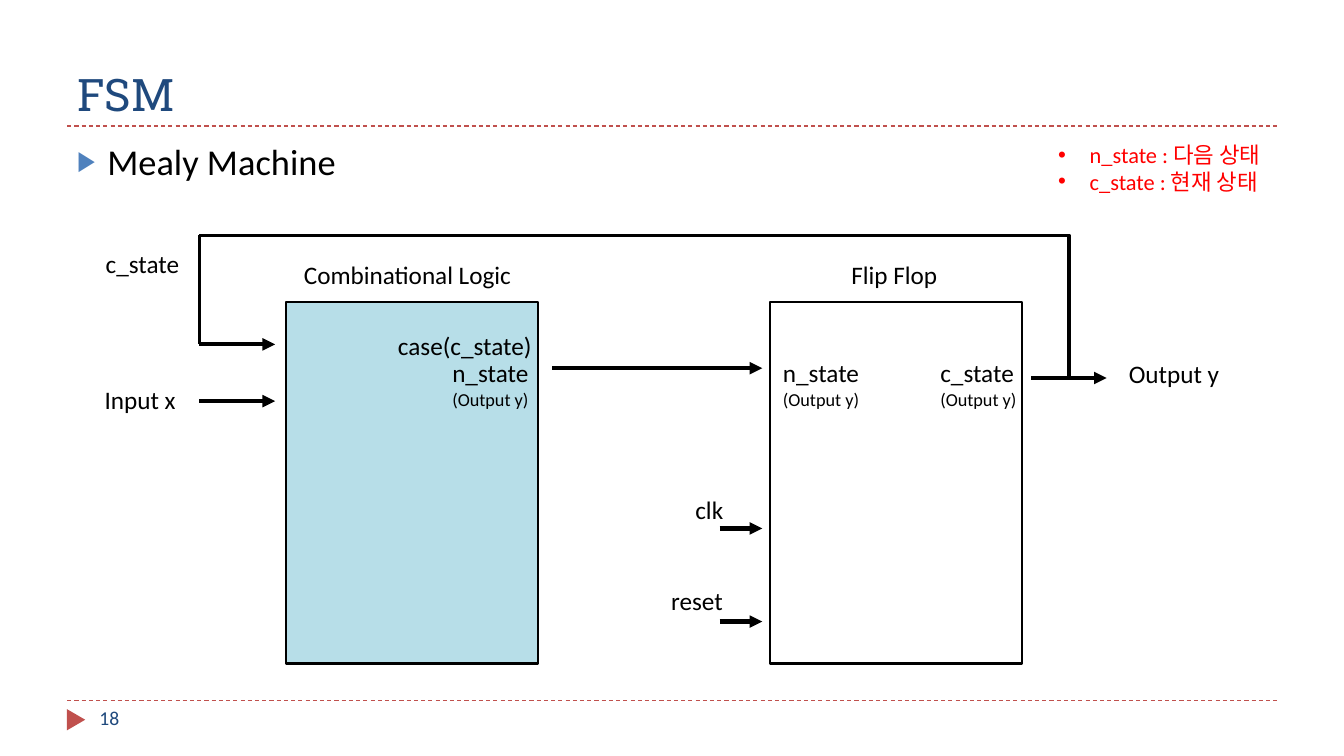
from dataclasses import dataclass

from lxml import etree
from pptx import Presentation
from pptx.dml.color import RGBColor
from pptx.enum.dml import MSO_LINE
from pptx.enum.shapes import MSO_CONNECTOR, MSO_SHAPE
from pptx.enum.text import MSO_ANCHOR, PP_ALIGN
from pptx.oxml.ns import qn
from pptx.util import Pt

STRAIGHT, ELBOW = MSO_CONNECTOR.STRAIGHT, MSO_CONNECTOR.ELBOW
RECT, TRIANGLE = MSO_SHAPE.RECTANGLE, MSO_SHAPE.ISOSCELES_TRIANGLE
DASH = MSO_LINE.DASH
TOP, BOTTOM = MSO_ANCHOR.TOP, MSO_ANCHOR.BOTTOM
LEFT = PP_ALIGN.LEFT
TITLE_ONLY = 5


@dataclass(frozen=True)
class Theme:
    ink: str = "000000"
    navy: str = "1F497D"
    blue: str = "4F81BD"
    brick: str = "C0504D"
    red: str = "FF0000"
    logic_fill: str = "B7DEE8"
    white: str = "FFFFFF"
    heading_font: str = "Roboto Slab"
    body_font: str = "Calibri"
    title: float = 32
    subtitle: float = 26
    label: float = 18
    note: float = 16
    page: float = 14
    small: float = 13
    rule: float = 0.75
    border: float = 1.5
    feedback: float = 2.25
    arrow: float = 3


T = Theme()


def rgb(value):
    return RGBColor.from_string(value)


def place(sp, box):
    sp.left, sp.top, sp.width, sp.height = map(Pt, box)


def set_bullet(p, char, indent, color=None, percent=None):
    pPr = p._p.get_or_add_pPr()
    pPr.set("marL", str(Pt(indent)))
    pPr.set("indent", str(-Pt(indent)))
    if color:
        buClr = etree.SubElement(pPr, qn("a:buClr"))
        etree.SubElement(buClr, qn("a:srgbClr")).set("val", color)
    if percent:
        etree.SubElement(pPr, qn("a:buSzPct")).set("val", str(percent * 1000))
    etree.SubElement(pPr, qn("a:buFont")).set("typeface", "Arial")
    etree.SubElement(pPr, qn("a:buChar")).set("char", char)


def write(sp, text, sizes=(T.label,), color=T.ink, font=T.body_font,
          anchor=TOP, bullet=None):
    tf = sp.text_frame
    tf.word_wrap = True
    tf.vertical_anchor = anchor
    lines = text.split("\n")
    for i, line in enumerate(lines):
        p = tf.paragraphs[0] if i == 0 else tf.add_paragraph()
        p.alignment = LEFT
        if bullet:
            set_bullet(p, **bullet)
        r = p.add_run()
        r.text = line
        r.font.name = font
        r.font.size = Pt(sizes[min(i, len(sizes) - 1)])
        r.font.color.rgb = rgb(color)


def add_text(slide, text, box, **fmt):
    write(slide.shapes.add_textbox(*map(Pt, box)), text, **fmt)


def add_block(slide, kind, box, fill, border=None, rotation=0):
    sp = slide.shapes.add_shape(kind, *map(Pt, box))
    sp.shadow.inherit = False
    sp.rotation = rotation
    sp.fill.solid()
    sp.fill.fore_color.rgb = rgb(fill)
    if border:
        sp.line.color.rgb = rgb(border)
        sp.line.width = Pt(T.border)
    else:
        sp.line.fill.background()


def add_line(slide, start, end, width, color=T.ink, kind=STRAIGHT,
             dash=None, arrow=False, bend=None):
    cxn = slide.shapes.add_connector(kind, *map(Pt, start + end))
    cxn.line.color.rgb = rgb(color)
    cxn.line.width = Pt(width)
    if dash:
        cxn.line.dash_style = dash
    if arrow:
        tail = etree.SubElement(cxn.line._get_or_add_ln(), qn("a:tailEnd"))
        tail.set("type", "triangle")
    spPr = cxn._element.spPr
    if bend is not None:
        gd = etree.SubElement(spPr.prstGeom.get_or_add_avLst(), qn("a:gd"))
        gd.set("name", "adj1")
        gd.set("fmla", f"val {bend}")
    etree.SubElement(spPr, qn("a:effectLst"))


def add_frame(slide):
    for y in (90, 500.4):
        add_line(slide, (48, y), (912, y), T.rule, T.brick, dash=DASH)
    add_block(slide, TRIANGLE, (46.8, 507.6, 15.1, 13), T.brick, rotation=90)
    title = slide.shapes.title
    place(title, (48, 12, 864, 78))
    write(title, "FSM", sizes=(T.title,), color=T.navy,
          font=T.heading_font, anchor=BOTTOM)
    add_text(slide, "Mealy Machine", (48, 96, 864, 389), sizes=(T.subtitle,),
             bullet=dict(char="▶", indent=21.6, color=T.blue, percent=76))
    add_text(slide, "18", (64, 500.4, 208, 28.8), sizes=(T.page,), color=T.navy)


def add_diagram(slide):
    for x, fill in ((204.5, T.logic_fill), (550, T.white)):
        add_block(slide, RECT, (x, 216, 180, 258), fill, T.ink)

    for x1, x2, y in ((394.5, 544.5, 263), (736.5, 790.5, 270),
                      (142.5, 196.5, 286.5), (142.5, 196.5, 246),
                      (514, 544.5, 377.5), (514, 544.5, 444)):
        add_line(slide, (x1, y), (x2, y), T.arrow, arrow=True)
    add_line(slide, (760.5, 270), (142.5, 168), T.feedback, kind=ELBOW, bend=-500)
    add_line(slide, (142.5, 168), (142.5, 246), T.feedback)

    for text, x, y, w in (("Flip Flop", 601, 182, 80),
                          ("Combinational Logic", 210, 182, 168.5),
                          ("Input x", 67.7, 270.7, 72),
                          ("c_state", 68.4, 174.2, 72),
                          ("clk", 489.6, 349.2, 42.5),
                          ("reset", 472.3, 414.7, 69),
                          ("Output y", 799.2, 252.7, 93.6),
                          ("case(c_state)", 277.2, 232.6, 116)):
        add_text(slide, text, (x, y, w, 28.8))

    for state, x in (("n_state", 316), ("n_state", 552.2), ("c_state", 664.6)):
        add_text(slide, f"{state}\n(Output y)", (x, 252, 72, 44.6),
                 sizes=(T.label, T.small))

    add_text(slide, "n_state : 다음 상태\nc_state : 현재 상태",
             (748.8, 97.2, 193.7, 46), sizes=(T.note,), color=T.red,
             bullet=dict(char="•", indent=22.5))


def main():
    prs = Presentation()
    prs.slide_width, prs.slide_height = Pt(960), Pt(540)
    slide = prs.slides.add_slide(prs.slide_layouts[TITLE_ONLY])
    add_frame(slide)
    add_diagram(slide)
    prs.save("out.pptx")


if __name__ == "__main__":
    main()
